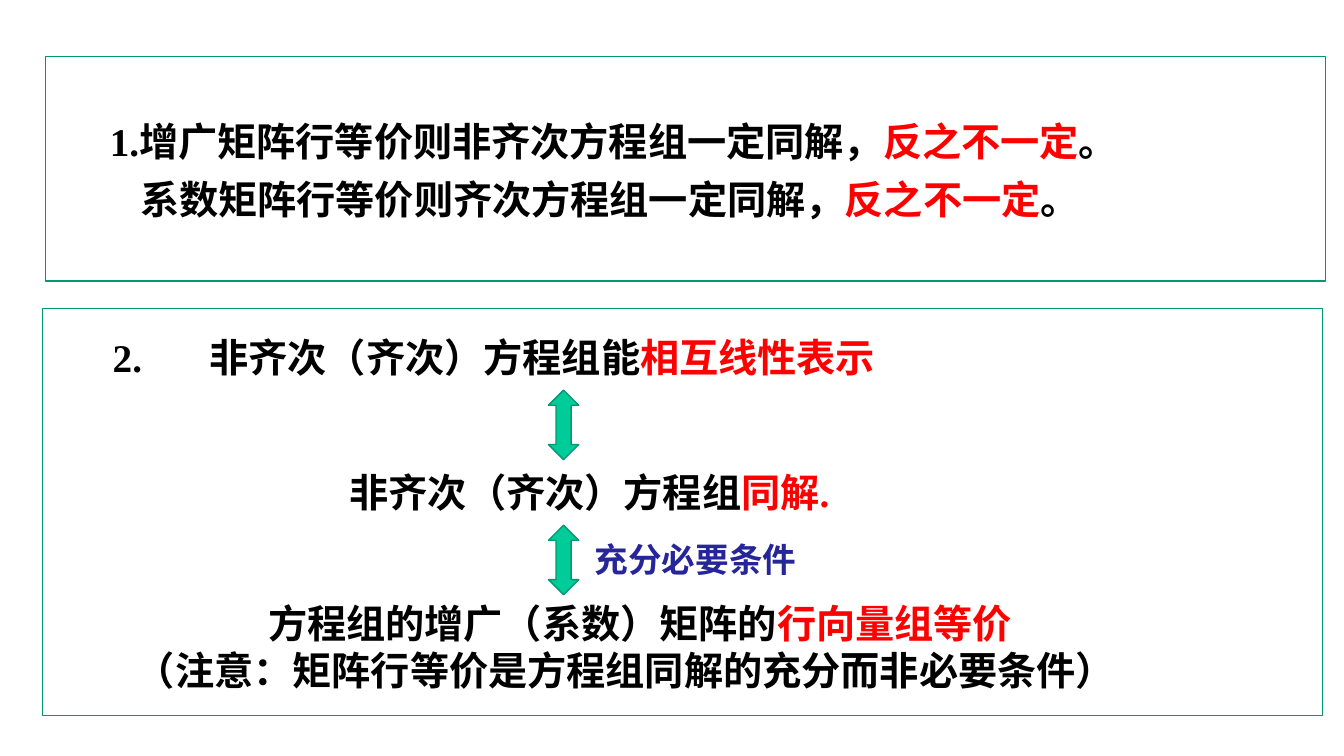
from lxml import etree
from pptx import Presentation
from pptx.dml.color import RGBColor
from pptx.enum.shapes import MSO_SHAPE
from pptx.enum.text import MSO_AUTO_SIZE
from pptx.oxml.ns import qn
from pptx.util import Inches, Pt

RECT = MSO_SHAPE.RECTANGLE
ARROW = MSO_SHAPE.UP_DOWN_ARROW
GROW = MSO_AUTO_SIZE.SHAPE_TO_FIT_TEXT

THEME = {
    "font": "Times New Roman",
    "body": 28, "note": 24,
    "black": "000000", "red": "FF0000", "blue": "262699",
    "green": "00CC99", "edge": "009771",
}

# Content: box (left, top, width, height), type size, line spacing, paragraphs;
# a paragraph is (indent, tab stop, runs)
TEXTS = [
    ((0.99, 1.02, 11.29, 0.66), "body", 1.2, [
        (0, 0, [("1.增广矩阵行等价则非齐次方程组一定同解，", "black"),
                ("反之不一定", "red"), ("。", "black")])]),
    ((1.02, 1.6, 11.29, 0.66), "body", 1.2, [
        (0.27, 0, [("系数矩阵行等价则齐次方程组一定同解，", "black"),
                   ("反之不一定", "red"), ("。", "black")])]),
    ((1.02, 3.26, 8.77, 0.57), "body", None, [
        (0, 0.96, [("2.\t非齐次（齐次）方程组能", "black"),
                   ("相互线性表示", "red")])]),
    ((3.37, 4.6, 5.99, 0.57), "body", None, [
        (0, 0, [("非齐次（齐次）方程组", "black"), ("同解.", "red")])]),
    ((1.25, 5.9, 12.28, 1.04), "body", None, [
        (1.31, 0, [("方程组的增广（系数）矩阵的", "black"),
                   ("行向量组等价", "red")]),
        (0, 0, [("（注意：矩阵行等价是方程组同解的充分而非必要条件）", "black")])]),
    ((5.8, 5.3, 2.72, 0.5), "note", None, [
        (0, 0, [("充分必要条件", "blue")])]),
]
SHAPES = [
    (ARROW, (5.44, 3.87, 0.3, 0.69), "green"),
    (ARROW, (5.44, 5.21, 0.3, 0.69), "green"),
    (RECT, (0.42, 3.06, 12.7, 4.04), None),
    (RECT, (0.45, 0.56, 12.7, 2.23), None),
]


def color(name):
    return RGBColor.from_string(THEME[name])


def add_text(slide, box, size, space, paras):
    frame = slide.shapes.add_textbox(*map(Inches, box)).text_frame
    frame.word_wrap = True
    frame.auto_size = GROW
    for i, (indent, stop, runs) in enumerate(paras):
        para = frame.add_paragraph() if i else frame.paragraphs[0]
        props = para._p.get_or_add_pPr()
        if indent:
            props.set("marL", str(Inches(indent)))
            props.set("indent", "0")
        if stop:
            tabs = etree.SubElement(props, qn("a:tabLst"))
            etree.SubElement(tabs, qn("a:tab"), pos=str(Inches(stop)), algn="l")
        if space:
            para.line_spacing = space
        for words, tint in runs:
            run = para.add_run()
            run.text = words
            run.font.name = THEME["font"]
            run.font.size = Pt(THEME[size])
            run.font.bold = True
            run.font.color.rgb = color(tint)


def add_mark(slide, kind, box, fill):
    mark = slide.shapes.add_shape(kind, *map(Inches, box))
    mark.shadow.inherit = False
    mark.line.color.rgb = color("edge")
    mark.line.width = Pt(1)
    if fill:
        mark.fill.solid()
        mark.fill.fore_color.rgb = color(fill)
    else:
        mark.fill.background()


def main():
    deck = Presentation()
    deck.slide_width, deck.slide_height = Inches(13.33), Inches(7.5)
    slide = deck.slides.add_slide(deck.slide_layouts[6])

    # Statements
    for item in TEXTS:
        add_text(slide, *item)

    # Arrows and frames
    for item in SHAPES:
        add_mark(slide, *item)

    deck.save("out.pptx")


if __name__ == "__main__":
    main()
